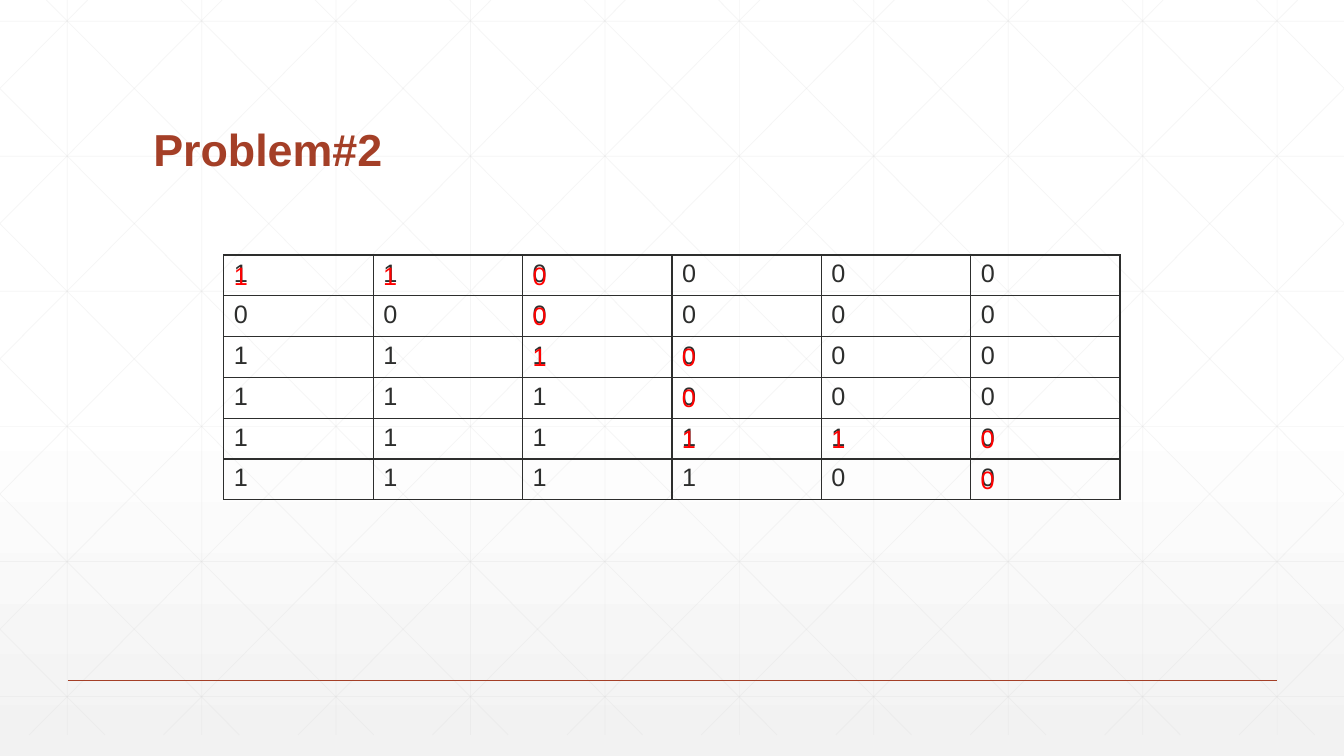
from copy import deepcopy

from lxml.etree import SubElement
from pptx import Presentation
from pptx.dml.color import RGBColor
from pptx.enum.shapes import MSO_CONNECTOR
from pptx.enum.text import MSO_ANCHOR, MSO_AUTO_SIZE, PP_ALIGN
from pptx.oxml import parse_xml
from pptx.oxml.ns import nsdecls, qn
from pptx.util import Inches, Pt

COLORS = {
    "rust": "A43F27",
    "ink": "2D2E2D",
    "red": "FF0000",
    "grid": "D9D9D9",
    "white": "FFFFFF",
    "mist": "F2F2F2",
}
WIDTH, HEIGHT = 13.33, 7.5
PITCH = 4 / 3
MATRIX = ["110000", "000000", "111000", "111000", "111110", "111100"]


def rgb(name):
    """Return the named colour."""
    return RGBColor.from_string(COLORS[name])


def write(frame, text, size=18, color="ink", bold=False, spacing=None):
    """Put formatted, left-aligned text into a text frame."""
    paragraph = frame.paragraphs[0]
    paragraph.alignment = PP_ALIGN.LEFT
    paragraph.line_spacing = spacing
    run = paragraph.add_run()
    run.text = text
    run.font.name = "Arial"
    run.font.size = Pt(size)
    run.font.bold = bold
    run.font.color.rgb = rgb(color)


def add_line(slide, start, end, color, width, opacity=100):
    """Draw a straight line between two points given in inches."""
    ends = [Inches(value) for value in (*start, *end)]
    line = slide.shapes.add_connector(MSO_CONNECTOR.STRAIGHT, *ends)
    line.line.color.rgb = rgb(color)
    line.line.width = Pt(width)
    properties = line._element.spPr
    SubElement(properties, qn("a:effectLst"))
    if opacity < 100:
        shade = properties.find(".//" + qn("a:srgbClr"))
        SubElement(shade, qn("a:alpha")).set("val", str(opacity * 1000))


def paint_background(slide):
    """Fade the slide from white to pale grey at the bottom."""
    fill = slide.background.fill
    fill.gradient()
    fill.gradient_angle = 270
    stop_list = slide._element.find(".//" + qn("a:gsLst"))
    stop_list.append(deepcopy(stop_list[0]))
    fades = [(0, "white"), (0.53, "white"), (1, "mist")]
    for stop, (position, color) in zip(fill.gradient_stops, fades):
        stop.position = position
        stop.color.rgb = rgb(color)


def draw_lattice(slide, width, height):
    """Draw upright, level and crossing diagonal lines, cut at the box."""
    lines = []
    for column in range(10):
        x = PITCH * (column + 0.5)
        lines.append(((x, 0), (x, height)))
    for row in range(6):
        y = 0.21 + 1.34 * row
        lines.append(((0, y), (width, y)))
    slope = 1.006
    for step in range(-5, 10):
        top_x = 0.46 + PITCH * step
        left = max(top_x, 0)
        right = min(top_x + height / slope, width)
        y_left, y_right = (slope * (x - top_x) for x in (left, right))
        lines.append(((left, y_left), (right, y_right)))
        lines.append(((width - left, y_left), (width - right, y_right)))
    for start, end in lines:
        add_line(slide, start, end, "grid", 0.5, opacity=25)


def place_title(slide, left, top, width, height):
    """Move the title into its box, in front of the lattice."""
    title = slide.shapes.title
    title.left, title.top = Inches(left), Inches(top)
    title.width, title.height = Inches(width), Inches(height)
    frame = title.text_frame
    frame.auto_size = MSO_AUTO_SIZE.NONE
    frame.vertical_anchor = MSO_ANCHOR.BOTTOM
    write(frame, "Problem#2", size=32, color="rust", bold=True, spacing=0.9)
    slide.shapes._spTree.append(title._element)


def outline_cell(cell):
    """Clear the cell's fill and rule its four sides."""
    cell.fill.background()
    properties = cell._tc.get_or_add_tcPr()
    for index, side in enumerate(("lnL", "lnR", "lnT", "lnB")):
        border = parse_xml(
            f'<a:{side} {nsdecls("a")} w="12700"><a:solidFill>'
            f'<a:srgbClr val="{COLORS["ink"]}"/></a:solidFill></a:{side}>'
        )
        properties.insert(index, border)


def staircase(matrix):
    """Yield the cells visited: right after a 1, down after a 0."""
    row = column = 0
    while row < len(matrix) and column < len(matrix[0]):
        yield row, column
        if matrix[row][column] == "1":
            column += 1
        else:
            row += 1


def place_matrix(slide, left, top, width, height):
    """Draw the matrix and mark the staircase walk in red."""
    rows, columns = len(MATRIX), len(MATRIX[0])
    box = [Inches(value) for value in (left, top, width, height)]
    table = slide.shapes.add_table(rows, columns, *box).table
    table.first_row = table.horz_banding = False
    for row, digits in enumerate(MATRIX):
        for column, digit in enumerate(digits):
            cell = table.cell(row, column)
            outline_cell(cell)
            write(cell.text_frame, digit)
    for row, column in staircase(MATRIX):
        x = left + column * width / columns
        y = top + row * height / rows
        mark = slide.shapes.add_textbox(
            Inches(x), Inches(y), Inches(0.35), Inches(0.4)
        )
        mark.text_frame.word_wrap = True
        write(mark.text_frame, MATRIX[row][column], color="red")


def build_problem_slide(deck):
    """Assemble the problem slide."""
    slide = deck.slides.add_slide(deck.slide_layouts[5])
    paint_background(slide)
    draw_lattice(slide, WIDTH, 7.29)
    add_line(slide, (0.67, 6.75), (12.67, 6.75), "rust", 1)
    place_title(slide, 1.42, 0.55, 10.5, 1.25)
    place_matrix(slide, 2.22, 2.53, 8.89, 2.43)


deck = Presentation()
deck.slide_width, deck.slide_height = Inches(WIDTH), Inches(HEIGHT)
build_problem_slide(deck)
deck.save("out.pptx")
